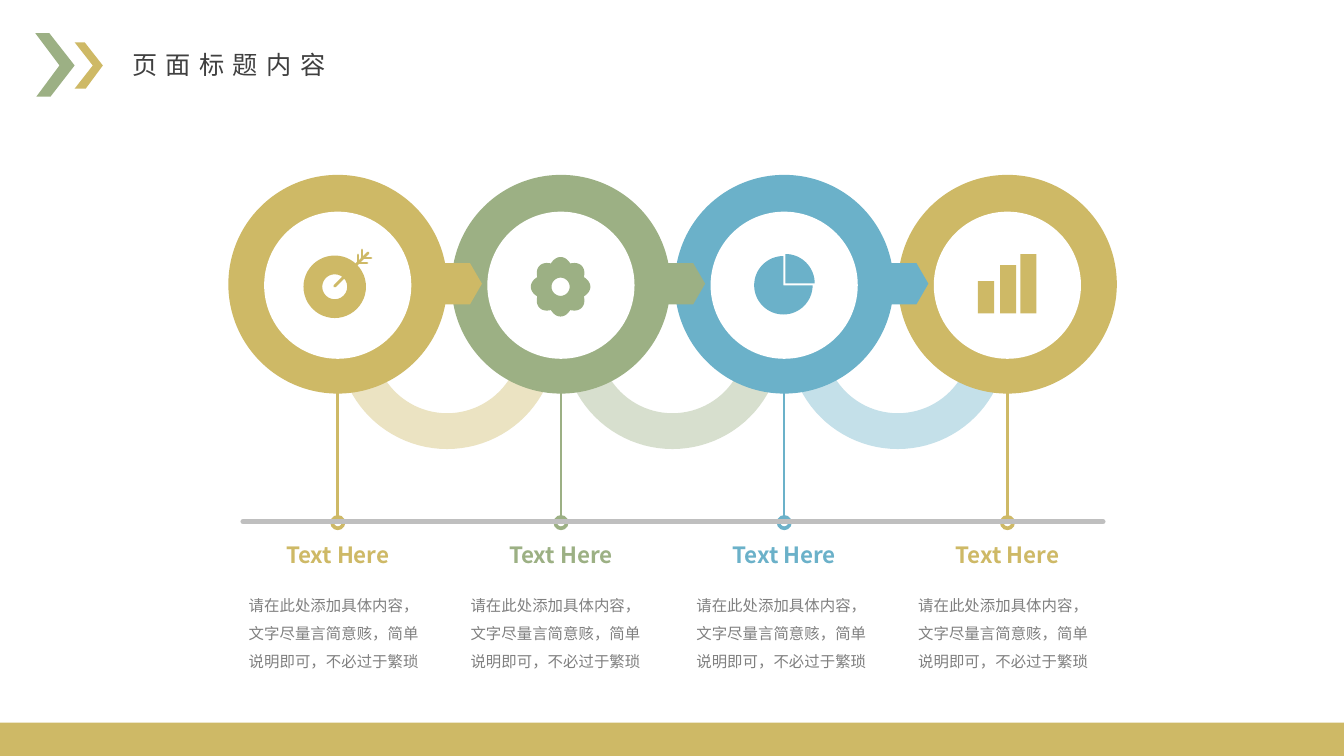
"""Build a four-step process slide with linked rings and a timeline."""
from dataclasses import dataclass
from math import cos, pi, sin

from lxml.etree import SubElement
from pptx import Presentation
from pptx.dml.color import RGBColor
from pptx.enum.lang import MSO_LANGUAGE_ID
from pptx.enum.shapes import MSO_CONNECTOR, MSO_SHAPE
from pptx.enum.text import MSO_ANCHOR, MSO_AUTO_SIZE, PP_ALIGN
from pptx.oxml.ns import qn
from pptx.util import Inches, Pt


@dataclass(frozen=True)
class Theme:
    gold: str = "CEB966"
    green: str = "9CB084"
    blue: str = "6BB1C9"
    arcs: tuple = ("EBE3C2", "D7DFCE", "C4E0E9")
    white: str = "FFFFFF"
    rule: str = "BFBFBF"
    dark: str = "404040"
    grey: str = "808080"
    title_font: str = "Lato"
    font: str = "Noto Sans CJK SC"
    title_size: int = 18
    label_size: int = 16
    body_size: int = 11


def arc(cx, cy, radius, start, end, steps=48):
    angles = [start + (end - start) * i / steps for i in range(steps + 1)]
    return [(cx + radius * cos(a), cy + radius * sin(a)) for a in angles]


class SlideBuilder:
    def __init__(self, slide, theme):
        self.s = slide
        self.theme = theme

    def paint(self, sp, color):
        sp.shadow.inherit = False
        sp.fill.solid()
        sp.fill.fore_color.rgb = RGBColor.from_string(color)
        sp.line.fill.background()

    def shape(self, kind, x, y, w, h, color, adjust=None):
        sp = self.s.shapes.add_shape(kind, Inches(x), Inches(y), Inches(w), Inches(h))
        if adjust is not None:
            sp.adjustments[0] = adjust
        self.paint(sp, color)

    def circle(self, cx, cy, radius, color, band=None):
        kind = MSO_SHAPE.OVAL if band is None else MSO_SHAPE.DONUT
        self.shape(kind, cx - radius, cy - radius, 2 * radius, 2 * radius, color, band)

    def outline(self, color, *contours):
        contours = [[(Inches(x), Inches(y)) for x, y in c] for c in contours]
        builder = self.s.shapes.build_freeform(*contours[0][0])
        for i, contour in enumerate(contours):
            if i:
                builder.move_to(*contour[0])
            builder.add_line_segments(contour[1:], close=True)
        self.paint(builder.convert_to_shape(), color)

    def line(self, x1, y1, x2, y2, color, width):
        cx = self.s.shapes.add_connector(
            MSO_CONNECTOR.STRAIGHT, Inches(x1), Inches(y1), Inches(x2), Inches(y2))
        cx.line.color.rgb = RGBColor.from_string(color)
        cx.line.width = Pt(width)
        props = cx._element.spPr
        props.find(qn("a:ln")).set("cap", "rnd")
        SubElement(props, qn("a:effectLst"))

    def fill_text(self, sp, text, color, font, size, bold=False, wrap=False,
                  align=PP_ALIGN.CENTER, spacing=None, tracking=None):
        tf = sp.text_frame
        frame = {"word_wrap": wrap, "auto_size": MSO_AUTO_SIZE.SHAPE_TO_FIT_TEXT,
                 "vertical_anchor": MSO_ANCHOR.TOP}
        for name, value in frame.items():
            setattr(tf, name, value)
        p = tf.paragraphs[0]
        p.alignment = align
        if spacing:
            p.line_spacing = Pt(spacing)
        r = p.add_run()
        r.text = text
        style = {"name": font, "size": Pt(size), "bold": bold,
                 "language_id": MSO_LANGUAGE_ID.SIMPLIFIED_CHINESE}
        for name, value in style.items():
            setattr(r.font, name, value)
        r.font.color.rgb = RGBColor.from_string(color)
        props = r._r.get_or_add_rPr()
        SubElement(props, qn("a:ea")).set("typeface", font)
        if tracking:
            props.set("spc", str(tracking * 100))

    def text(self, x, y, w, h, text, color, size, **style):
        sp = self.s.shapes.add_textbox(Inches(x), Inches(y), Inches(w), Inches(h))
        self.fill_text(sp, text, color, self.theme.font, size, **style)

    def title(self, x, y, w, h, text):
        sp = self.s.shapes.title
        box = {"left": x, "top": y, "width": w, "height": h}
        for name, value in box.items():
            setattr(sp, name, Inches(value))
        t = self.theme
        self.fill_text(sp, text, t.dark, t.title_font, t.title_size,
                       align=PP_ALIGN.LEFT, tracking=6)

    def ring(self, cx, cy, color, arrow):
        self.circle(cx, cy, 1.085, color)
        if arrow:
            self.shape(MSO_SHAPE.PENTAGON, cx + 0.62, cy - 0.21, 0.81, 0.41, color, 0.29)
        self.circle(cx, cy + 0.01, 0.73, self.theme.white)

    def target_icon(self, color):
        self.circle(3.32, 2.845, 0.31, color, 0.3)
        self.line(3.32, 2.84, 3.65, 2.51, color, 2)
        for x, y in ((3.55, 2.61), (3.59, 2.56)):
            self.line(x, y - 0.08, x, y, color, 2)
            self.line(x, y, x + 0.09, y, color, 2)

    def flower_icon(self, color):
        cx, cy = 5.56, 2.845
        angles = [2 * pi * i / 160 for i in range(160)]
        radii = [0.25 + 0.045 * abs(cos(4 * a)) for a in angles]
        petals = [(cx + r * cos(a), cy + r * sin(a)) for a, r in zip(angles, radii)]
        self.outline(color, petals, arc(cx, cy, 0.09, 2 * pi, 0))

    def pie_icon(self, color):
        quarter = arc(7.79, 2.81, 0.29, -pi / 2, 0)
        self.outline(color, [(7.79, 2.81)] + quarter)
        three_quarters = arc(7.77, 2.83, 0.29, 0, 1.5 * pi)
        self.outline(color, [(7.77, 2.83)] + three_quarters)

    def bars_icon(self, color):
        for x, height in ((9.7, 0.32), (9.92, 0.48), (10.12, 0.59)):
            self.shape(MSO_SHAPE.RECTANGLE, x, 3.11 - height, 0.16, height, color)


def main():
    t = Theme()
    prs = Presentation()
    prs.slide_width, prs.slide_height = Inches(13.33), Inches(7.5)
    b = SlideBuilder(prs.slides.add_slide(prs.slide_layouts[5]), t)
    colors = (t.gold, t.green, t.blue, t.gold)
    centers = [3.35 + 2.214 * i for i in range(4)]
    ring_y = 2.82

    for cx, color in zip(centers, colors):
        b.line(cx, 3.57, cx, 5.18, color, 1.8)
        b.circle(cx, 5.185, 0.075, color, 0.25)
    for i, color in enumerate(t.arcs):
        cx = 4.435 + 2.235 * i
        b.outline(color, arc(cx, 3.37, 1.085, 0, pi) + arc(cx, 3.37, 0.73, pi, 0))
    b.line(2.41, 5.175, 10.94, 5.175, t.rule, 3.6)

    icons = (b.target_icon, b.flower_icon, b.pie_icon, b.bars_icon)
    for i in reversed(range(4)):
        b.ring(centers[i], ring_y, colors[i], arrow=i < 3)
        icons[i](colors[i])

    body = "请在此处添加具体内容，文字尽量言简意赅，简单说明即可，不必过于繁琐"
    for cx, color, body_x in zip(centers, colors, (2.32, 4.52, 6.76, 8.96)):
        b.text(cx - 0.635, 5.32, 1.27, 0.37, "Text Here", color, t.label_size, bold=True)
        b.text(body_x, 5.77, 1.98, 0.89, body, t.grey, t.body_size, wrap=True, spacing=20)

    b.outline(t.green, [(0.35, 0.33), (0.49, 0.33), (0.74, 0.65),
                        (0.5, 0.96), (0.36, 0.96), (0.59, 0.65)])
    b.outline(t.gold, [(0.74, 0.42), (0.84, 0.42), (1.02, 0.65),
                       (0.85, 0.88), (0.74, 0.88), (0.92, 0.65)])
    b.title(1.21, 0.44, 2.22, 0.4, "页面标题内容")
    b.shape(MSO_SHAPE.RECTANGLE, 0, 7.17, 13.33, 0.33, t.gold)
    prs.save("out.pptx")


if __name__ == "__main__":
    main()
